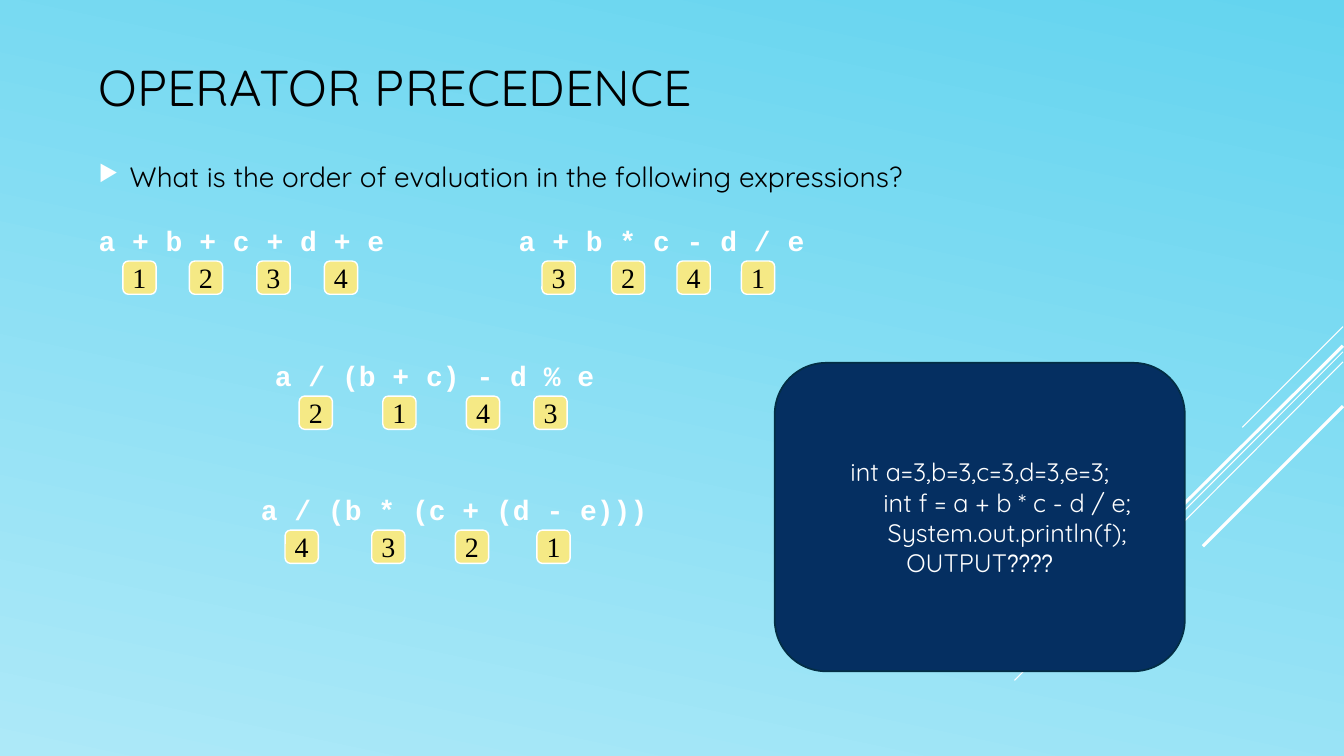
from pptx import Presentation
from pptx.dml.color import RGBColor
from pptx.enum.shapes import MSO_CONNECTOR, MSO_SHAPE
from pptx.enum.text import MSO_ANCHOR as Anchor, PP_ALIGN as Align
from pptx.oxml.ns import qn
from pptx.util import Inches, Pt
from lxml.etree import SubElement

SKY = RGBColor(0x64, 0xD4, 0xEF)
PALE_SKY = RGBColor(0xAD, 0xE9, 0xF8)
WHITE = RGBColor(0xFF, 0xFF, 0xFF)
BLACK = RGBColor(0, 0, 0)
YELLOW = RGBColor(0xF5, 0xE9, 0x85)
NAVY = RGBColor(0x05, 0x2F, 0x61)
NAVY_EDGE = RGBColor(0x03, 0x2E, 0x45)

TITLE = {"name": "Quicksand", "size": Pt(36)}
QUESTION = {"name": "Quicksand", "size": Pt(20)}
EXPRESSION = {"name": "Courier New", "size": Pt(20), "bold": True}
STEP = {"name": "Times New Roman", "size": Pt(20)}
CODE = {"name": "Quicksand", "size": Pt(18)}
MARKS = {"name": "Arial Narrow", "size": Pt(18)}

BADGE_SIZE = 0.33
BADGE_DROP = 0.42

RAYS = [
    (13.33, 3.24, 12.33, 4.24, 0.75),
    (13.33, 3.49, 10.07, 6.75, 0.75),
    (13.33, 3.59, 11.26, 5.67, 0.75),
    (13.33, 3.43, 11.42, 5.33, 2.25),
    (13.33, 4.03, 11.94, 5.42, 2.25),
]

EXPRESSIONS = [
    ("a + b + c + d + e", (0.88, 2.17, 3.04, 0.44),
     [("1", 0.34), ("2", 1.0), ("3", 1.67), ("4", 2.34)]),
    ("a + b * c - d / e", (5.05, 2.17, 3.04, 0.44),
     [("3", 0.33), ("2", 1.02), ("4", 1.67), ("1", 2.31)]),
    ("a / (b + c) - d % e", (2.63, 3.51, 3.37, 0.44),
     [("2", 0.34), ("1", 1.17), ("4", 2.0), ("3", 2.67)]),
    ("a / (b * (c + (d - e)))", (2.49, 4.84, 4.04, 0.44),
     [("4", 0.34), ("3", 1.2), ("2", 2.03), ("1", 2.84)]),
]

CODE_LINES = [
    [("int a=3,b=3,c=3,d=3,e=3;", CODE)],
    [("        int f = a + b * c - d / e;", CODE)],
    [("        System.out.println(f);", CODE)],
    [("OUTPUT", CODE), ("????", MARKS)],
]


def add_run(paragraph, text, style, color):
    """Append a run with the given font style and colour."""
    run = paragraph.add_run()
    run.text = text
    for attribute, value in style.items():
        setattr(run.font, attribute, value)
    run.font.color.rgb = color


def add_text(slide, box, text, style, color, anchor=Anchor.MIDDLE, wrap=True):
    """Place a one-line text box and return its paragraph."""
    frame = slide.shapes.add_textbox(*map(Inches, box)).text_frame
    frame.word_wrap = wrap
    frame.vertical_anchor = anchor
    paragraph = frame.paragraphs[0]
    add_run(paragraph, text, style, color)
    return paragraph


def add_panel(slide, box, fill, edge, edge_width):
    """Place a rounded rectangle and return its text frame."""
    panel = slide.shapes.add_shape(MSO_SHAPE.ROUNDED_RECTANGLE, *map(Inches, box))
    panel.shadow.inherit = False
    panel.fill.solid()
    panel.fill.fore_color.rgb = fill
    panel.line.color.rgb = edge
    panel.line.width = Pt(edge_width)
    panel.text_frame.vertical_anchor = Anchor.MIDDLE
    return panel.text_frame


def paint_background(slide):
    """Fill the background with the sky gradient."""
    fill = slide.background.fill
    fill.gradient()
    fill.gradient_angle = 258
    for stop, color, position in zip(fill.gradient_stops, (SKY, PALE_SKY), (0, 1)):
        stop.color.rgb = color
        stop.position = position


def add_rays(slide):
    """Draw the diagonal rays at the right edge."""
    for *ends, width in RAYS:
        ray = slide.shapes.add_connector(MSO_CONNECTOR.STRAIGHT, *map(Inches, ends))
        ray.line.color.rgb = WHITE
        ray.line.width = Pt(width)
        SubElement(ray._element.spPr, qn("a:effectLst"))


def add_question(slide, box, text):
    """Place the question with its triangular bullet."""
    paragraph = add_text(slide, box, text, QUESTION, BLACK)
    properties = paragraph._p.get_or_add_pPr()
    properties.set("marL", str(Inches(0.31)))
    properties.set("indent", str(-Inches(0.31)))
    bullet_color = SubElement(properties, qn("a:buClr"))
    SubElement(bullet_color, qn("a:srgbClr"), val=str(WHITE))
    SubElement(properties, qn("a:buSzPct"), val="80000")
    SubElement(properties, qn("a:buChar"), char="▶")
    paragraph.space_after = Pt(6)


def add_expression(slide, box, text, steps):
    """Place an expression with its evaluation steps underneath."""
    left, top = box[:2]
    add_text(slide, box, text, EXPRESSION, WHITE, Anchor.TOP, False)
    for step, offset in steps:
        badge = (left + offset, top + BADGE_DROP, BADGE_SIZE, BADGE_SIZE)
        frame = add_panel(slide, badge, YELLOW, WHITE, 1)
        frame.word_wrap = False
        paragraph = frame.paragraphs[0]
        paragraph.alignment = Align.CENTER
        add_run(paragraph, step, STEP, BLACK)


def add_code_panel(slide, box):
    """Place the navy panel with the code exercise."""
    frame = add_panel(slide, box, NAVY, NAVY_EDGE, 1.25)
    frame.word_wrap = True
    for index, runs in enumerate(CODE_LINES):
        paragraph = frame.add_paragraph() if index else frame.paragraphs[0]
        paragraph.alignment = Align.CENTER
        for text, style in runs:
            add_run(paragraph, text, style, WHITE)


def main():
    """Build and save the slide."""
    deck = Presentation()
    deck.slide_width, deck.slide_height = Inches(13.34), Inches(7.5)
    slide = deck.slides.add_slide(deck.slide_layouts[6])
    paint_background(slide)
    add_rays(slide)
    add_text(slide, (0.88, 0.24, 9.33, 1.23), "OPERATOR PRECEDENCE", TITLE, BLACK)
    add_question(slide, (0.88, 1.23, 8.67, 1.04),
                 "What is the order of evaluation in the following expressions?")
    for text, box, steps in EXPRESSIONS:
        add_expression(slide, box, text, steps)
    add_code_panel(slide, (7.69, 3.6, 4.07, 3.06))
    deck.save("out.pptx")


if __name__ == "__main__":
    main()
